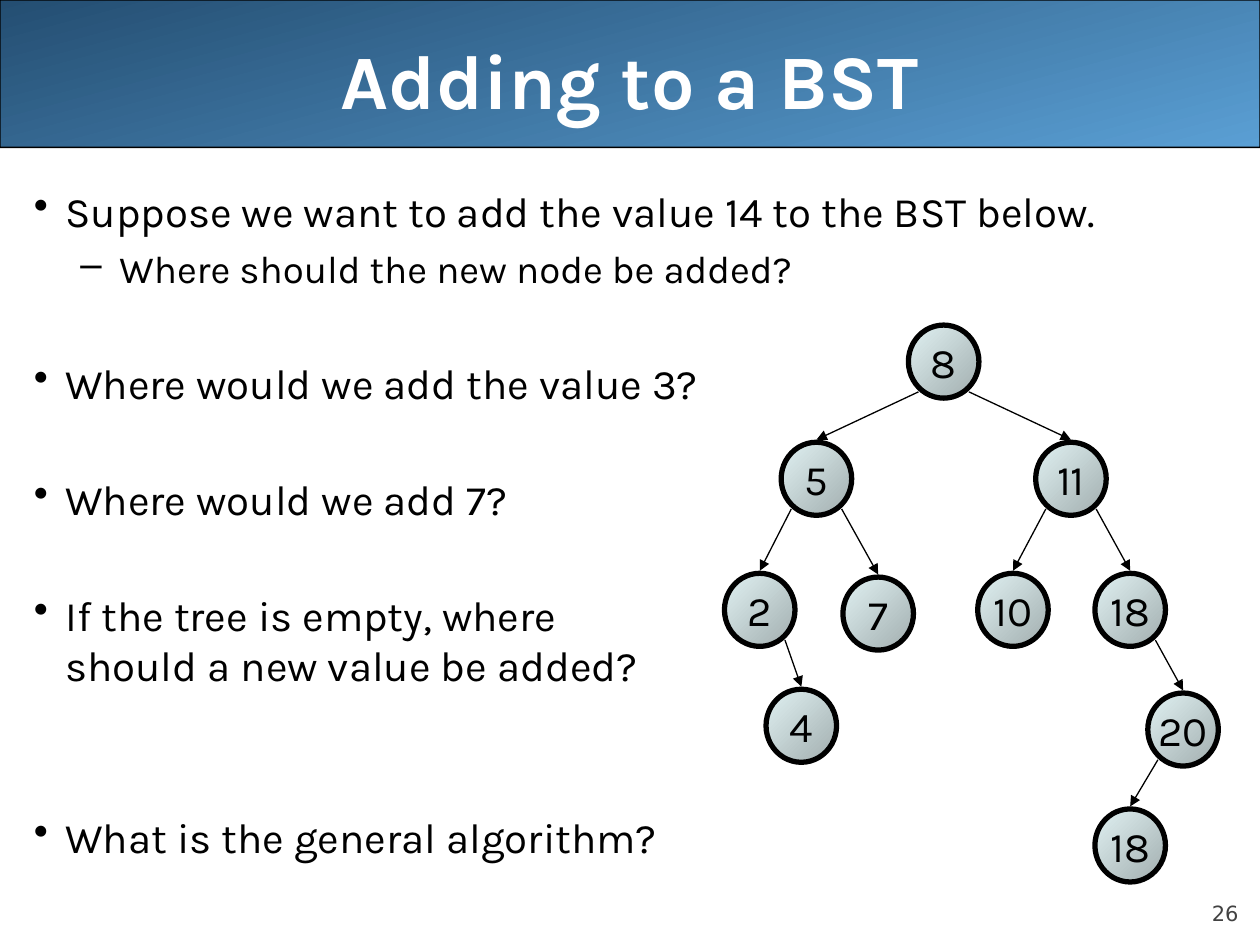
from dataclasses import dataclass

from lxml.etree import SubElement
from pptx import Presentation
from pptx.dml.color import RGBColor
from pptx.enum.shapes import MSO_CONNECTOR as Connector, MSO_SHAPE as Shape
from pptx.enum.text import MSO_ANCHOR as Anchor, PP_ALIGN as Align
from pptx.oxml.ns import qn
from pptx.util import Inches, Pt


@dataclass(frozen=True)
class Theme:
    font: str = "Karla"
    number_font: str = "DejaVu Sans"
    ink: str = "000000"
    title_ink: str = "FFFFFF"
    number_ink: str = "424242"
    banner: tuple = ("244E72", "5A9FD4")
    node: tuple = ("A1ADAE", "E1F2F3")
    title_size: float = 44
    body_size: float = 24
    sub_size: float = 22
    number_size: float = 12
    thin: float = 0.75
    thick: float = 3


NODE_WIDTH, NODE_HEIGHT = 0.56, 0.58
BLANK_LINE = 31.6  # points left free between groups of bullets

# name: (label, left, top)
NODES = {
    "root": ("8", 7.21, 2.58),
    "five": ("5", 6.2, 3.51),
    "eleven": ("11", 8.22, 3.51),
    "two": ("2", 5.75, 4.55),
    "seven": ("7", 6.69, 4.58),
    "ten": ("10", 7.76, 4.55),
    "eighteen": ("18", 8.69, 4.55),
    "four": ("4", 6.08, 5.47),
    "twenty": ("20", 9.11, 5.5),
    "leaf": ("18", 8.69, 6.42),
}
EDGES = [
    ("root", "five"), ("root", "eleven"),
    ("five", "two"), ("five", "seven"),
    ("eleven", "ten"), ("eleven", "eighteen"),
    ("two", "four"), ("eighteen", "twenty"), ("twenty", "leaf"),
]
# (text, level, blank lines before)
BULLETS = [
    ("Suppose we want to add the value 14 to the BST below.", 0, 0),
    ("Where should the new node be added?", 1, 0),
    ("Where would we add the value 3?", 0, 1),
    ("Where would we add 7?", 0, 1),
    ("If the tree is empty, where\vshould a new value be added?", 0, 1),
    ("What is the general algorithm?", 0, 2),
]


def assign(target, values):
    for name, value in values.items():
        setattr(target, name, value)


class SlideBuilder:
    def __init__(self, slide, theme):
        self.shapes = slide.shapes
        self.theme = theme

    def set_text(self, paragraph, text, size, color=None, font=None, bold=False):
        paragraph.text = text
        for run in paragraph.runs:
            assign(run.font, {"name": font or self.theme.font,
                              "size": Pt(size), "bold": bold})
            run.font.color.rgb = RGBColor.from_string(color or self.theme.ink)

    def text_box(self, box, **frame_format):
        frame = self.shapes.add_textbox(*map(Inches, box)).text_frame
        assign(frame, {"word_wrap": True, **frame_format})
        return frame

    def gradient_shape(self, kind, box, colors, angle, line_width):
        shape = self.shapes.add_shape(kind, *map(Inches, box))
        shape.shadow.inherit = False
        shape.fill.gradient()
        shape.fill.gradient_angle = angle
        for stop, color in zip(shape.fill.gradient_stops, colors):
            stop.color.rgb = RGBColor.from_string(color)
        shape.line.color.rgb = RGBColor.from_string(self.theme.ink)
        shape.line.width = Pt(line_width)
        return shape

    def banner(self, title):
        theme = self.theme
        band = self.gradient_shape(Shape.ROUNDED_RECTANGLE, (0, 0, 10, 1.17),
                                   theme.banner, 285, theme.thin)
        band.adjustments[0] = 0.001
        frame = self.text_box((0.5, 0, 9, 1.25), vertical_anchor=Anchor.MIDDLE)
        heading = frame.paragraphs[0]
        heading.alignment = Align.CENTER
        self.set_text(heading, title, theme.title_size, theme.title_ink, bold=True)

    def page_number(self, number):
        theme = self.theme
        frame = self.text_box((9, 6.95, 0.83, 0.4),
                              vertical_anchor=Anchor.BOTTOM, margin_left=0,
                              margin_right=0, margin_top=0, margin_bottom=0)
        frame.paragraphs[0].alignment = Align.RIGHT
        self.set_text(frame.paragraphs[0], number, theme.number_size,
                      theme.number_ink, theme.number_font)

    def bullets(self, items):
        theme = self.theme
        levels = [("•", 0.25, -0.25, theme.body_size),
                  ("–", 0.68, -0.31, theme.sub_size)]
        frame = self.text_box((0.17, 1.42, 9.83, 5.67))
        for index, (text, level, blank_lines) in enumerate(items):
            paragraph = frame.add_paragraph() if index else frame.paragraphs[0]
            mark, margin, indent, size = levels[level]
            self.set_text(paragraph, text, size)
            assign(paragraph, {
                "level": level,
                "space_before": Pt(size / 4 + blank_lines * BLANK_LINE),
            })
            properties = paragraph._p.get_or_add_pPr()
            properties.set("marL", str(Inches(margin)))
            properties.set("indent", str(Inches(indent)))
            SubElement(properties, qn("a:buChar"), char=mark)

    def node(self, label, left, top):
        theme = self.theme
        circle = self.gradient_shape(
            Shape.OVAL, (left, top, NODE_WIDTH, NODE_HEIGHT),
            theme.node, 135, theme.thick)
        frame = circle.text_frame
        assign(frame, {"word_wrap": False, "vertical_anchor": Anchor.MIDDLE})
        frame.paragraphs[0].alignment = Align.CENTER
        self.set_text(frame.paragraphs[0], label, theme.body_size)

    def edge(self, parent, child):
        """Arrow from the parent's lower left or right to the child's top."""
        (_, parent_left, parent_top), (_, child_left, child_top) = parent, child
        side = 0.2 if child_left > parent_left else -0.2
        start = (parent_left + NODE_WIDTH / 2 + side, parent_top + 0.53)
        end = (child_left + NODE_WIDTH / 2, child_top - 0.02)
        arrow = self.shapes.add_connector(Connector.STRAIGHT,
                                          *map(Inches, start + end))
        arrow.line.color.rgb = RGBColor.from_string(self.theme.ink)
        arrow.line.width = Pt(self.theme.thin)
        SubElement(arrow.line._get_or_add_ln(), qn("a:tailEnd"), type="triangle")
        SubElement(arrow._element.spPr, qn("a:effectLst"))


def main():
    deck = Presentation()
    assign(deck, {"slide_width": Inches(10), "slide_height": Inches(7.5)})
    builder = SlideBuilder(deck.slides.add_slide(deck.slide_layouts[6]), Theme())
    builder.banner("Adding to a BST")
    builder.page_number("26")
    builder.bullets(BULLETS)
    for node in NODES.values():
        builder.node(*node)
    for parent, child in EDGES:
        builder.edge(NODES[parent], NODES[child])
    deck.save("out.pptx")


if __name__ == "__main__":
    main()
